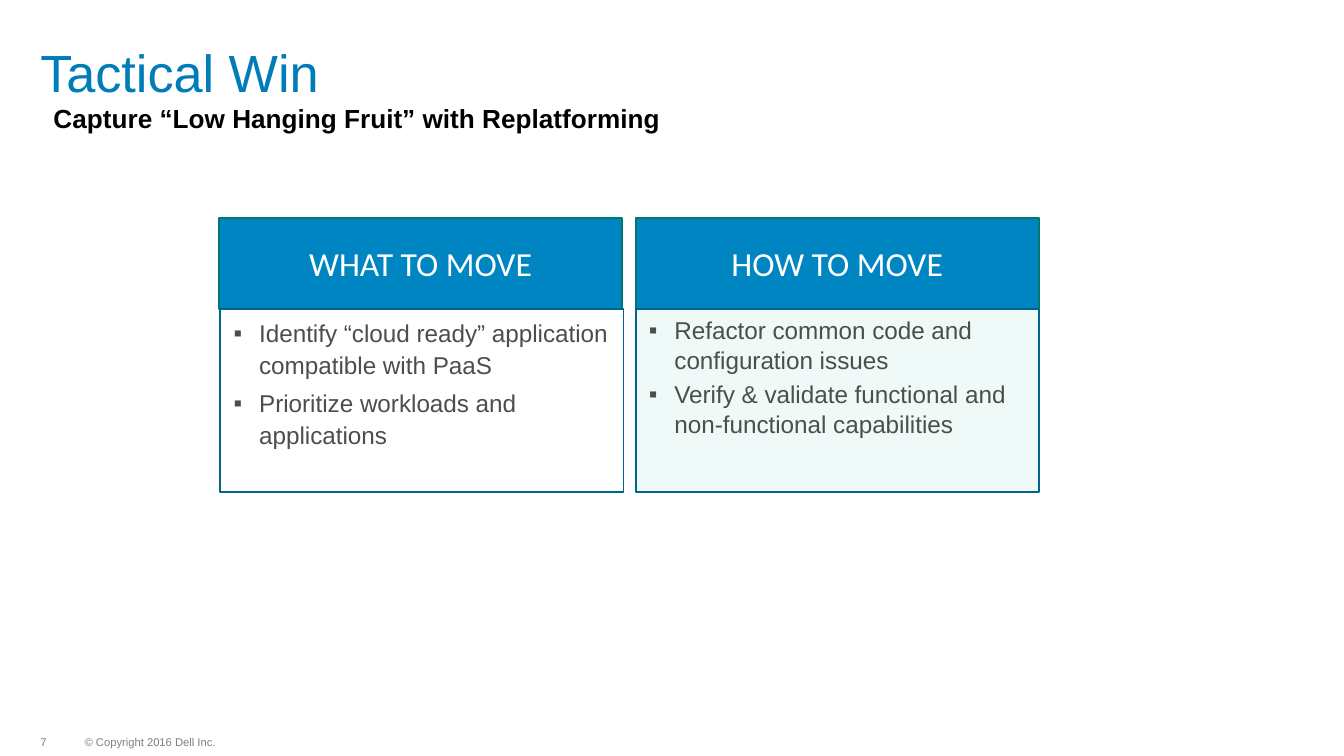
from lxml import etree
from pptx import Presentation
from pptx.dml.color import RGBColor
from pptx.enum.shapes import MSO_SHAPE
from pptx.enum.text import MSO_ANCHOR, PP_ALIGN
from pptx.oxml.ns import qn
from pptx.util import Inches, Pt

RECT = MSO_SHAPE.RECTANGLE
TOP, MIDDLE = MSO_ANCHOR.TOP, MSO_ANCHOR.MIDDLE
LEFT, CENTER = PP_ALIGN.LEFT, PP_ALIGN.CENTER

COLORS = {
    "title": "007DB8",
    "black": "000000",
    "white": "FFFFFF",
    "head": "0085C3",
    "edge": "01786E",
    "frame": "006492",
    "mint": "EEF9F8",
    "body": "4D4D4D",
    "note": "7F7F7F",
    "page": "808080",
}

PANELS = [
    (1.63, 1.64, "WHAT TO MOVE", "white", 1.1,
     ["Identify “cloud ready” application compatible with PaaS",
      "Prioritize workloads and applications"]),
    (4.73, 4.73, "HOW TO MOVE", "mint", 1.0,
     ["Refactor common code and configuration issues",
      "Verify & validate functional and non-functional capabilities"]),
]


def color(name):
    return RGBColor.from_string(COLORS[name])


def add_mark(para):
    props = para._p.get_or_add_pPr()
    props.set("marL", str(Inches(0.19)))
    props.set("indent", str(Inches(-0.19)))
    etree.SubElement(props, qn("a:buFont")).set("typeface", "Arial")
    etree.SubElement(props, qn("a:buChar")).set("char", "▪")


def write(shape, lines, size, ink, font="Arial", bold=False, align=LEFT,
          anchor=TOP, pad=(0.1, 0.05), space=1.0, after=0, mark=False,
          wrap=True):
    frame = shape.text_frame
    frame.word_wrap = wrap
    frame.vertical_anchor = anchor
    frame.margin_left = frame.margin_right = Inches(pad[0])
    frame.margin_top = frame.margin_bottom = Inches(pad[1])
    for i, line in enumerate(lines):
        para = frame.add_paragraph() if i else frame.paragraphs[0]
        para.alignment = align
        para.line_spacing = space
        para.space_after = Pt(after)
        if mark:
            add_mark(para)
        run = para.add_run()
        run.text = line
        run.font.size = Pt(size)
        run.font.name = font
        run.font.bold = bold
        run.font.color.rgb = color(ink)


def add_text(slide, box, line, size, ink, **form):
    shape = slide.shapes.add_textbox(*map(Inches, box))
    write(shape, [line], size, ink, **form)


def add_box(slide, box, fill, edge):
    shape = slide.shapes.add_shape(RECT, *map(Inches, box))
    shape.shadow.inherit = False
    shape.fill.solid()
    shape.fill.fore_color.rgb = color(fill)
    shape.line.color.rgb = color(edge)
    shape.line.width = Pt(1)
    return shape


def add_panel(slide, head_x, body_x, head, fill, space, items):
    top = add_box(slide, (head_x, 1.62, 3, 0.68), "head", "edge")
    write(top, [head], 18, "white", font="Calibri", align=CENTER,
          anchor=MIDDLE)
    body = add_box(slide, (body_x, 2.3, 3, 1.36), fill, "frame")
    write(body, items, 13, "body", space=space, after=3, mark=True)


def add_foot(slide, box, line, ink):
    add_text(slide, box, line, 6, ink, anchor=MIDDLE, pad=(0, 0),
             space=0.9, wrap=False)


def main():
    deck = Presentation()
    deck.slide_width = Inches(10)
    deck.slide_height = deck.slide_width * 9 // 16
    slide = deck.slides.add_slide(deck.slide_layouts[6])

    add_foot(slide, (0.63, 5.48, 0.98, 0.09), "© Copyright 2016 Dell Inc.",
             "note")
    add_foot(slide, (0.3, 5.48, 0.1, 0.09), "7", "page")
    add_text(slide, (0.3, 0.3, 9.46, 0.52), "Tactical Win", 28, "title",
             pad=(0, 0.05), space=0.9)
    for panel in PANELS:
        add_panel(slide, *panel)
    add_text(slide, (0.3, 0.71, 9.46, 0.38),
             "Capture “Low Hanging Fruit” with Replatforming", 14, "black",
             bold=True)
    deck.save("out.pptx")


if __name__ == "__main__":
    main()
